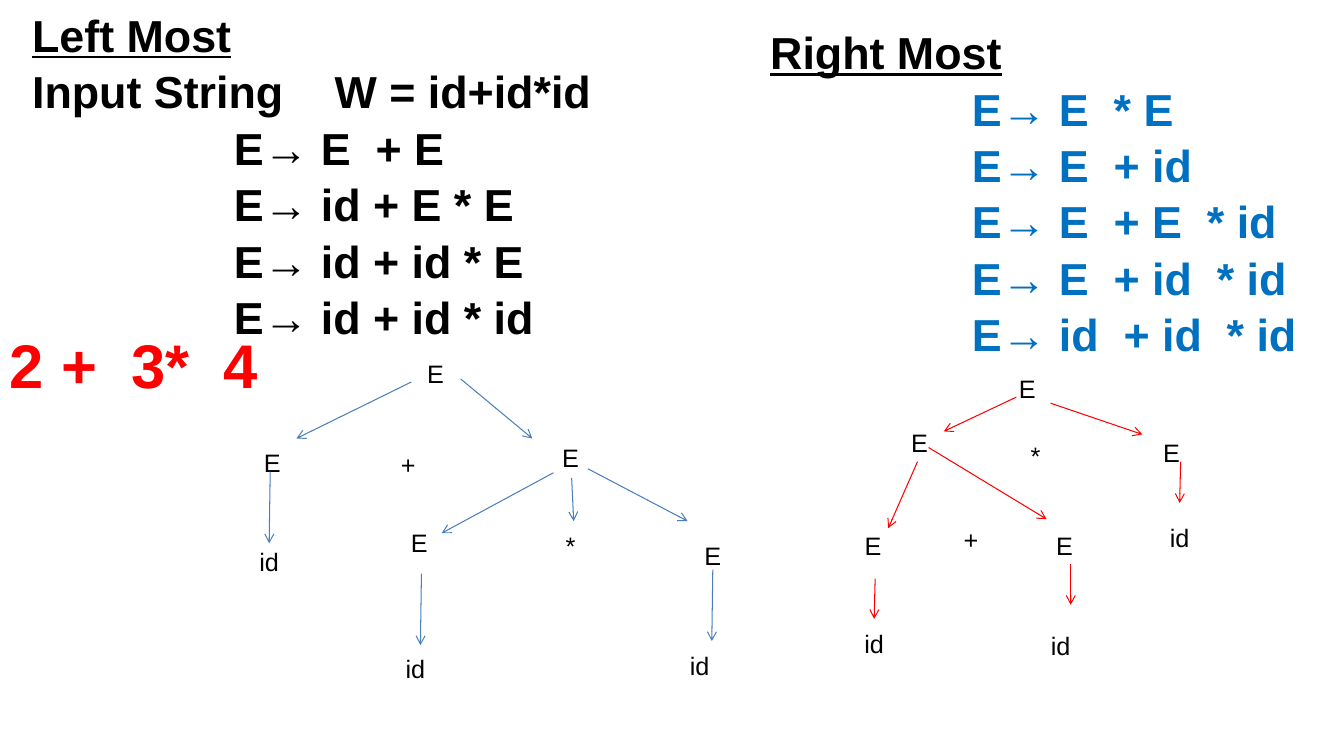
"""Build a slide comparing leftmost and rightmost derivations with their parse trees."""
from dataclasses import dataclass

from lxml import etree
from pptx import Presentation
from pptx.dml.color import RGBColor
from pptx.enum.shapes import MSO_CONNECTOR, MSO_SHAPE
from pptx.enum.text import MSO_ANCHOR, PP_ALIGN
from pptx.oxml.ns import qn
from pptx.util import Emu, Pt

PX = 9144
BLANK_LAYOUT = 6
ELLIPSE = MSO_SHAPE.OVAL
STRAIGHT = MSO_CONNECTOR.STRAIGHT
MIDDLE = MSO_ANCHOR.MIDDLE
CENTER = PP_ALIGN.CENTER
LEFT = PP_ALIGN.LEFT
FONT = "Arial"
COLORS = {"black": "000000", "blue": "0070C0", "red": "FF0000", "steel": "4B7EBC"}
NODE_WIDTH, NODE_HEIGHT = 126, 69
STEP_INDENT = 200


@dataclass(frozen=True)
class Line:
    text: str
    color: str = "black"
    indent: int = 0
    underline: bool = False
    size: int = 32


@dataclass(frozen=True)
class TextBlock:
    left: int
    top: int
    width: int
    height: int
    lines: tuple[Line, ...]
    wrap: bool = True
    spacing: float = 1.05


@dataclass(frozen=True)
class Node:
    text: str
    left: int
    top: int


@dataclass(frozen=True)
class Arrow:
    start_x: int
    start_y: int
    end_x: int
    end_y: int


@dataclass(frozen=True)
class Tree:
    color: str
    nodes: tuple[Node, ...]
    arrows: tuple[Arrow, ...]


LEFT_STEPS = ("E→ E  + E", "E→ id + E * E", "E→ id + id * E", "E→ id + id * id")
RIGHT_STEPS = ("E→ E  * E", "E→ E  + id", "E→ E  + E  * id",
               "E→ E  + id  * id", "E→ id  + id  * id")

TEXT_BLOCKS = (
    TextBlock(22, 0, 579, 647, (
        Line("Left Most", underline=True),
        Line("Input String \tW = id+id*id"),
        *(Line(step, indent=STEP_INDENT) for step in LEFT_STEPS))),
    TextBlock(754, 17, 579, 329, (
        Line("Right Most", underline=True),
        *(Line(step, "blue", STEP_INDENT) for step in RIGHT_STEPS))),
    TextBlock(0, 319, 269, 84, (Line("2 +  3*  4", "red", size=44),),
              wrap=False, spacing=1.0),
)

TREES = (
    Tree("steel", (
        Node("E", 369, 336), Node("E", 207, 424), Node("+", 342, 426),
        Node("E", 503, 419), Node("id", 204, 522), Node("E", 353, 504),
        Node("*", 503, 507), Node("E", 644, 517), Node("id", 349, 629),
        Node("id", 631, 626),
    ), (
        Arrow(408, 379, 294, 435), Arrow(457, 376, 528, 435),
        Arrow(268, 468, 267, 539), Arrow(549, 469, 438, 529),
        Arrow(583, 465, 682, 517), Arrow(567, 474, 569, 517),
        Arrow(418, 569, 417, 640), Arrow(707, 565, 706, 636),
    )),
    Tree("red", (
        Node("E", 956, 351), Node("E", 849, 404), Node("*", 964, 417),
        Node("E", 1099, 414), Node("E", 803, 507), Node("+", 900, 501),
        Node("E", 993, 507), Node("id", 1107, 499), Node("id", 804, 604),
        Node("id", 989, 606),
    ), (
        Arrow(1008, 394, 936, 428), Arrow(1042, 400, 1133, 431),
        Arrow(910, 458, 881, 524), Arrow(921, 444, 1038, 515),
        Arrow(1171, 458, 1170, 499), Arrow(1062, 560, 1062, 600),
        Arrow(868, 574, 867, 614),
    )),
)


def px(*lengths: int) -> list[Emu]:
    return [Emu(length * PX) for length in lengths]


def rgb(name: str) -> RGBColor:
    return RGBColor.from_string(COLORS[name])


def draw_text(page, block: TextBlock) -> None:
    box = page.shapes.add_textbox(*px(block.left, block.top, block.width, block.height))
    frame = box.text_frame
    frame.word_wrap = block.wrap
    for index, line in enumerate(block.lines):
        para = frame.paragraphs[0] if index == 0 else frame.add_paragraph()
        para.text = line.text
        para.alignment = LEFT
        para.line_spacing = block.spacing
        if line.indent:
            properties = para._p.get_or_add_pPr()
            properties.set("marL", str(line.indent * PX))
            properties.set("indent", "0")
        font = para.font
        font.name, font.size, font.bold = FONT, Pt(line.size), True
        font.underline = line.underline
        font.color.rgb = rgb(line.color)


def draw_node(page, node: Node) -> None:
    shape = page.shapes.add_shape(
        ELLIPSE, *px(node.left, node.top, NODE_WIDTH, NODE_HEIGHT))
    shape.shadow.inherit = False
    shape.fill.background()
    shape.line.fill.background()
    frame = shape.text_frame
    frame.vertical_anchor = MIDDLE
    para = frame.paragraphs[0]
    para.text = node.text
    para.alignment = CENTER
    para.font.name, para.font.size = FONT, Pt(18)
    para.font.color.rgb = rgb("black")


def draw_arrow(page, arrow: Arrow, color: str) -> None:
    connector = page.shapes.add_connector(
        STRAIGHT, *px(arrow.start_x, arrow.start_y, arrow.end_x, arrow.end_y))
    connector.line.color.rgb = rgb(color)
    connector.line.width = Pt(0.75)
    outline = connector.line._get_or_add_ln()
    etree.SubElement(outline, qn("a:tailEnd"), type="arrow")
    etree.SubElement(connector._element.spPr, qn("a:effectLst"))


def main() -> None:
    deck = Presentation()
    deck.slide_width, deck.slide_height = px(1333, 750)
    page = deck.slides.add_slide(deck.slide_layouts[BLANK_LAYOUT])
    for block in TEXT_BLOCKS:
        draw_text(page, block)
    for tree in TREES:
        for node in tree.nodes:
            draw_node(page, node)
        for arrow in tree.arrows:
            draw_arrow(page, arrow, tree.color)
    deck.save("out.pptx")


if __name__ == "__main__":
    main()
